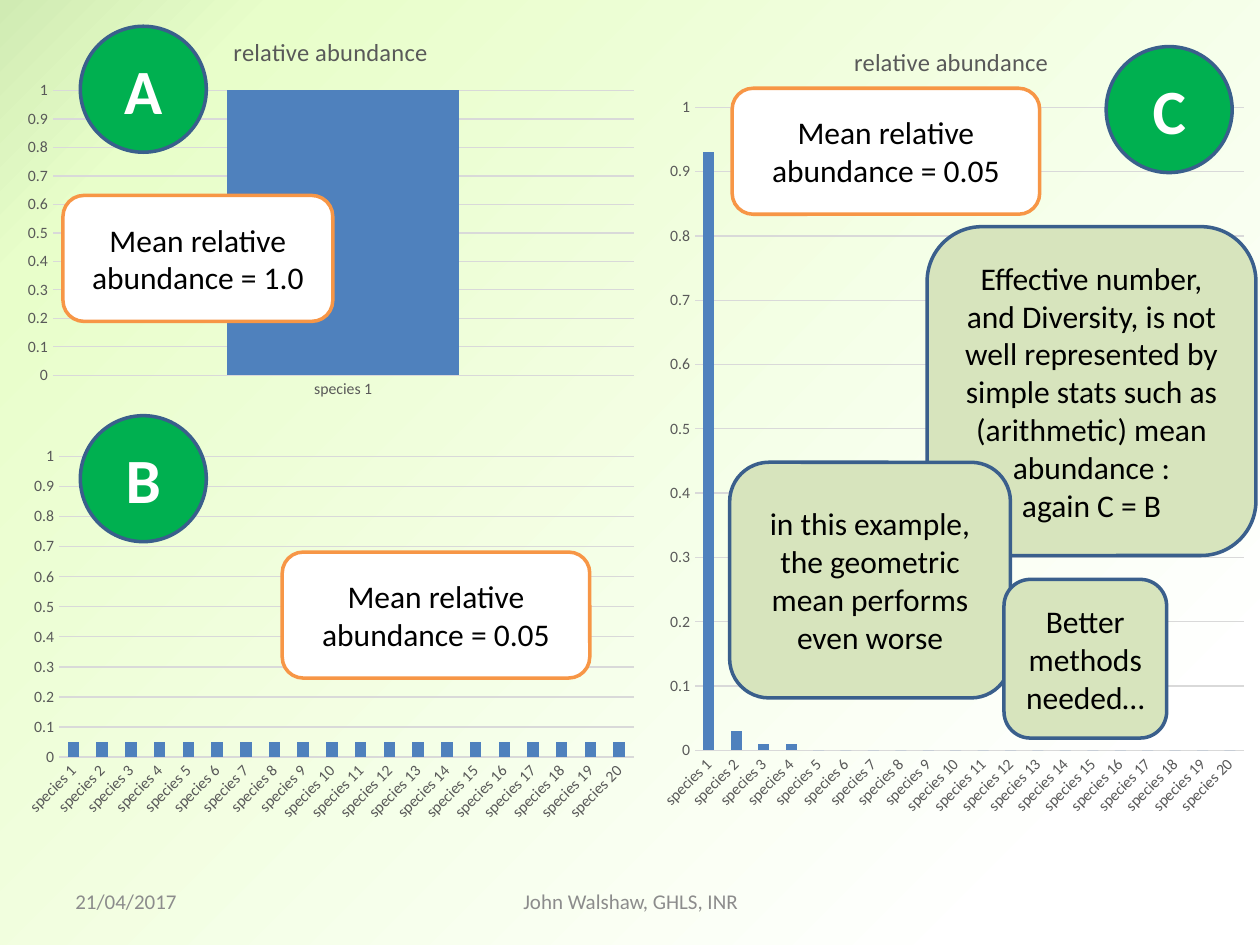
from copy import deepcopy

from lxml import etree
from pptx import Presentation
from pptx.chart.data import CategoryChartData
from pptx.dml.color import RGBColor
from pptx.enum.chart import XL_CHART_TYPE, XL_TICK_MARK
from pptx.enum.shapes import MSO_SHAPE
from pptx.enum.text import MSO_ANCHOR, PP_ALIGN
from pptx.oxml.ns import qn
from pptx.util import Cm, Pt

STACKED = XL_CHART_TYPE.COLUMN_STACKED
NO_TICK = XL_TICK_MARK.NONE
OVAL = MSO_SHAPE.OVAL
ROUNDED = MSO_SHAPE.ROUNDED_RECTANGLE
MIDDLE = MSO_ANCHOR.MIDDLE
LEFT, CENTER = PP_ALIGN.LEFT, PP_ALIGN.CENTER

FONT = "Calibri"
BLACK = RGBColor(0x00, 0x00, 0x00)
WHITE = RGBColor(0xFF, 0xFF, 0xFF)
FOOTER_GREY = RGBColor(0x8C, 0x8C, 0x8C)
LABEL_GREY = RGBColor(0x59, 0x59, 0x59)
GRID_GREY = RGBColor(0xD9, 0xD9, 0xD9)
BAR_BLUE = RGBColor(0x4F, 0x81, 0xBD)
EDGE_BLUE = RGBColor(0x3A, 0x5F, 0x8C)
ORANGE = RGBColor(0xF7, 0x96, 0x46)
BADGE_GREEN = RGBColor(0x00, 0xB0, 0x50)
PALE_GREEN = RGBColor(0xD7, 0xE4, 0xBD)
BACKGROUND_STOPS = [
    (0, RGBColor(0xD0, 0xEB, 0xB3)),
    (0.13, RGBColor(0xE8, 0xFE, 0xCA)),
    (0.87, WHITE),
]

SPECIES = [f"species {n}" for n in range(1, 21)]
PANELS = [
    dict(box=(0.3, 0.33, 12.73, 7.87), plot=(0.06, 0.19, 0.92, 0.73),
         series="relative abundance", values=[1], title="relative abundance",
         letter="A", badge=(1.32, 0.2), mean="1.0", note=(0.97, 3.61, 5.44)),
    dict(box=(0.3, 8.89, 12.73, 7.87), plot=(0.07, 0.04, 0.91, 0.77),
         series="Series 1", values=[0.05] * 20, title=None,
         letter="B", badge=(1.32, -0.51), mean="0.05", note=(5.39, 2.24, 6.2)),
    dict(box=(13.03, 0.36, 12.29, 16.41), plot=(0.08, 0.11, 0.9, 0.79),
         series="relative abundance", values=[0.93, 0.03, 0.01, 0.01] + [0] * 16,
         title="relative abundance",
         letter="C", badge=(9.27, 0.58), mean="0.05", note=(1.73, 1.42, 6.2)),
]
REMARKS = [
    ((18.69, 4.57, 6.63, 6.63),
     "Effective number, and Diversity, is not well represented by simple stats "
     "such as (arithmetic) mean abundance :\nagain C = B"),
    ((14.71, 9.32, 5.66, 4.75),
     "in this example, the geometric mean performs even worse"),
    ((20.24, 11.68, 3.28, 3.2), "Better methods needed…"),
]
FOOTERS = [
    ((1.27, 17.65, 5.92, 1.02), "21/04/2017", LEFT),
    ((8.69, 17.65, 8.05, 1.02), "John Walshaw, GHLS, INR", CENTER),
]


def lengths(box):
    return [Cm(value) for value in box]


def style_font(font, size, color, bold=False):
    font.name = FONT
    font.size = Pt(size)
    font.bold = bold
    font.color.rgb = color


def write_text(frame, text, size=18, color=BLACK, bold=False, align=CENTER):
    frame.text = text
    for paragraph in frame.paragraphs:
        paragraph.alignment = align
        for run in paragraph.runs:
            style_font(run.font, size, color, bold)


def add_callout(slide, box, text, preset=ROUNDED, fill=PALE_GREEN,
                edge=EDGE_BLUE, **text_format):
    callout = slide.shapes.add_shape(preset, *lengths(box))
    callout.shadow.inherit = False
    callout.fill.solid()
    callout.fill.fore_color.rgb = fill
    callout.line.color.rgb = edge
    callout.line.width = Pt(2)
    callout.text_frame.word_wrap = True
    callout.text_frame.vertical_anchor = MIDDLE
    write_text(callout.text_frame, text, **text_format)


def place_plot(chart, fractions):
    plot_area = chart._chartSpace.find(".//" + qn("c:plotArea"))
    for old_layout in plot_area.findall(qn("c:layout")):
        plot_area.remove(old_layout)
    layout = etree.Element(qn("c:layout"))
    manual = etree.SubElement(layout, qn("c:manualLayout"))
    settings = [("layoutTarget", "inner"), ("xMode", "edge"), ("yMode", "edge")]
    settings += zip("xywh", fractions)
    for tag, value in settings:
        etree.SubElement(manual, qn(f"c:{tag}")).set("val", str(value))
    plot_area.insert(0, layout)


def style_axes(chart, slanted):
    categories, abundance = chart.category_axis, chart.value_axis
    for axis in (categories, abundance):
        axis.major_tick_mark = NO_TICK
        axis.minor_tick_mark = NO_TICK
        style_font(axis.tick_labels.font, 9, LABEL_GREY)
    abundance.minimum_scale = 0
    abundance.maximum_scale = 1
    abundance.major_unit = 0.1
    abundance.tick_labels.number_format = "General"
    abundance.tick_labels.number_format_is_linked = False
    abundance.format.line.fill.background()
    for line in (categories.format.line, abundance.major_gridlines.format.line):
        line.color.rgb = GRID_GREY
        line.width = Pt(0.75)
    if slanted:
        label_body = categories._element.find(f"{qn('c:txPr')}/{qn('a:bodyPr')}")
        label_body.set("rot", "-2700000")
        label_body.set("vert", "horz")


def add_abundance_chart(slide, box, plot, series, values, title):
    data = CategoryChartData()
    data.categories = SPECIES[:len(values)]
    data.add_series(series, values)
    chart = slide.shapes.add_chart(STACKED, *lengths(box), data).chart
    style_font(chart.font, 10, BLACK)
    chart.has_legend = False
    chart.has_title = title is not None
    if title:
        write_text(chart.chart_title.text_frame, title, size=14, color=LABEL_GREY)
        chart.chart_title.include_in_layout = False
    columns = chart.plots[0]
    columns.gap_width = 150
    columns.overlap = 100
    columns.vary_by_categories = False
    bars = columns.series[0].format.fill
    bars.solid()
    bars.fore_color.rgb = BAR_BLUE
    style_axes(chart, slanted=len(values) > 1)
    place_plot(chart, plot)


def add_panel(slide, box, plot, series, values, title, letter, badge, mean, note):
    left, top = box[:2]
    add_abundance_chart(slide, box, plot, series, values, title)
    note_x, note_y, note_width = note
    add_callout(slide, (left + note_x, top + note_y, note_width, 2.54),
                f"Mean relative abundance = {mean}", fill=WHITE, edge=ORANGE)
    badge_x, badge_y = badge
    add_callout(slide, (left + badge_x, top + badge_y, 2.54, 2.54), letter,
                preset=OVAL, fill=BADGE_GREEN, size=36, color=WHITE, bold=True)


def add_footer(slide, box, text, align):
    frame = slide.shapes.add_textbox(*lengths(box)).text_frame
    frame.word_wrap = True
    frame.vertical_anchor = MIDDLE
    write_text(frame, text, size=12, color=FOOTER_GREY, align=align)


def paint_background(slide):
    fill = slide.background.fill
    fill.gradient()
    fill.gradient_angle = 315
    stop_list = fill.gradient_stops[0]._gs.getparent()
    stop_list.append(deepcopy(stop_list[-1]))
    for stop, (position, color) in zip(fill.gradient_stops, BACKGROUND_STOPS):
        stop.position = position
        stop.color.rgb = color


def main():
    deck = Presentation()
    deck.slide_width, deck.slide_height = Cm(25.4), Cm(19.05)
    slide = deck.slides.add_slide(deck.slide_layouts[6])
    paint_background(slide)
    for box, text, align in FOOTERS:
        add_footer(slide, box, text, align)
    for panel in PANELS:
        add_panel(slide, **panel)
    for box, text in REMARKS:
        add_callout(slide, box, text)
    deck.save("out.pptx")


if __name__ == "__main__":
    main()
